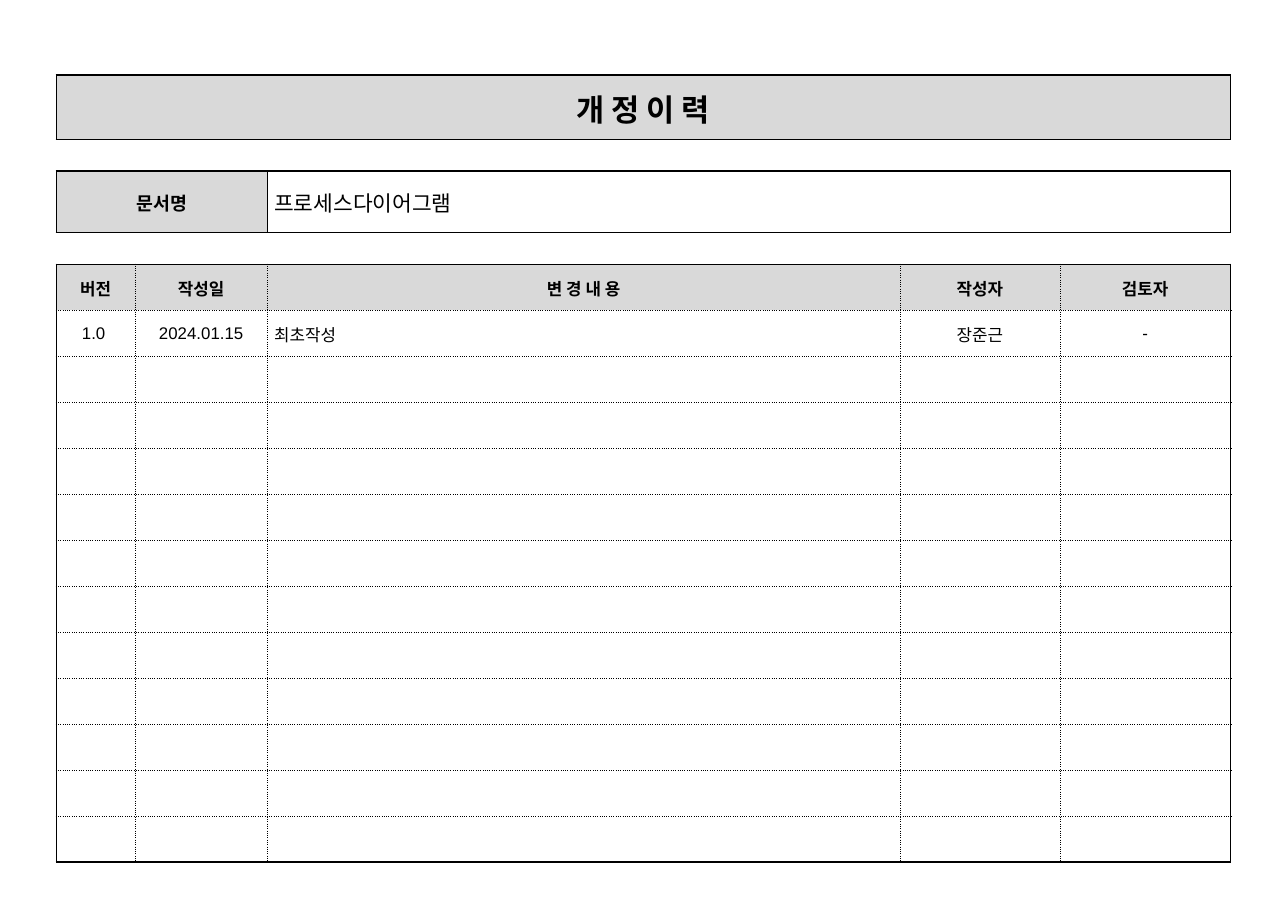
import pptx
import pptx.dml.color
import pptx.enum.text
import pptx.oxml
import pptx.oxml.ns
import pptx.util

Cm = pptx.util.Cm
Pt = pptx.util.Pt
BLACK = pptx.dml.color.RGBColor(0x00, 0x00, 0x00)
GRAY = pptx.dml.color.RGBColor(0xD9, 0xD9, 0xD9)
MID = pptx.enum.text.PP_ALIGN.CENTER
LEFT = pptx.enum.text.PP_ALIGN.LEFT
NS = pptx.oxml.ns.nsdecls("a")

COLS = [1.81, 3.06, 14.58, 3.69, 3.93]
ROWS = [1.48, 0.73, 1.42, 0.73] + [1.06] * 13
HEAD = 4
LAST = len(ROWS) - 1

TEXTS = {
    (0, 0): ("개 정 이 력", 20, True, MID),
    (2, 0): ("문서명", 12, True, MID),
    (2, 2): ("프로세스다이어그램", 14, False, LEFT),
}
for col, name in enumerate(["버전", "작성일", "변 경 내 용", "작성자", "검토자"]):
    TEXTS[HEAD, col] = (name, 11, True, MID)
for col, entry in enumerate(["1.0", "2024.01.15", "최초작성", "장준근", "-"]):
    TEXTS[HEAD + 1, col] = (entry, 11, False, LEFT if col == 2 else MID)


def border(side, row, col):
    edge = (side, col) in [("L", 0), ("R", len(COLS) - 1)]
    if row >= HEAD:
        edge = edge or (side, row) in [("T", HEAD), ("B", LAST)]
        return "solid" if edge else "sysDot"
    if side in "TB" or row == 0:
        return "solid"
    if row == 2 and (edge or col < 2 or (side, col) == ("L", 2)):
        return "solid"
    return None


def draw(cell, side, dash):
    width = 6350 if dash == "sysDot" else 12700
    paint = f'<a:solidFill><a:srgbClr val="{str(BLACK)}"/></a:solidFill><a:prstDash val="{dash}"/>'
    if dash is None:
        paint = "<a:noFill/>"
    line = f'<a:ln{side} {NS} w="{width}">{paint}</a:ln{side}>'
    cell._tc.get_or_add_tcPr().append(pptx.oxml.parse_xml(line))


deck = pptx.Presentation()
deck.slide_width = Cm(29.7)
deck.slide_height = Cm(21)
slide = deck.slides.add_slide(deck.slide_layouts[6])

frame = slide.shapes.add_table(
    len(ROWS), len(COLS), Cm(1.3), Cm(1.73), Cm(sum(COLS)), Cm(sum(ROWS)))
table = frame.table
table.first_row = False
table.horz_banding = False
for col, width in enumerate(COLS):
    table.columns[col].width = Cm(width)
for row, height in enumerate(ROWS):
    table.rows[row].height = Cm(height)

table.cell(0, 0).merge(table.cell(0, len(COLS) - 1))
table.cell(2, 0).merge(table.cell(2, 1))

for row in range(len(ROWS)):
    for col in range(len(COLS)):
        cell = table.cell(row, col)
        if cell.is_spanned:
            continue
        text, size, bold, align = TEXTS.get((row, col), ("", 8, False, LEFT))
        inset = 0.15 if text and align == LEFT else 0.03
        box = {
            "margin_left": Cm(inset),
            "margin_right": Cm(0.12 if text == "1.0" else 0.03),
            "margin_top": Cm(0.03),
            "margin_bottom": Cm(0),
            "vertical_anchor": pptx.enum.text.MSO_ANCHOR.MIDDLE,
        }
        for key, value in box.items():
            setattr(cell, key, value)

        for side in "LRTB":
            draw(cell, side, border(side, row, col))
        if row in (0, HEAD) or (row == 2 and col < 2):
            cell.fill.solid()
            cell.fill.fore_color.rgb = GRAY
        else:
            cell.fill.background()

        para = cell.text_frame.paragraphs[0]
        para.alignment = align
        if text:
            run = para.add_run()
            run.text = text
            look = {"name": "Arial", "size": Pt(size), "bold": bold}
            for key, value in look.items():
                setattr(run.font, key, value)
            run.font.color.rgb = BLACK
        else:
            para._p.append(pptx.oxml.parse_xml(f'<a:endParaRPr {NS} sz="{size * 100}"/>'))

deck.save("out.pptx")
